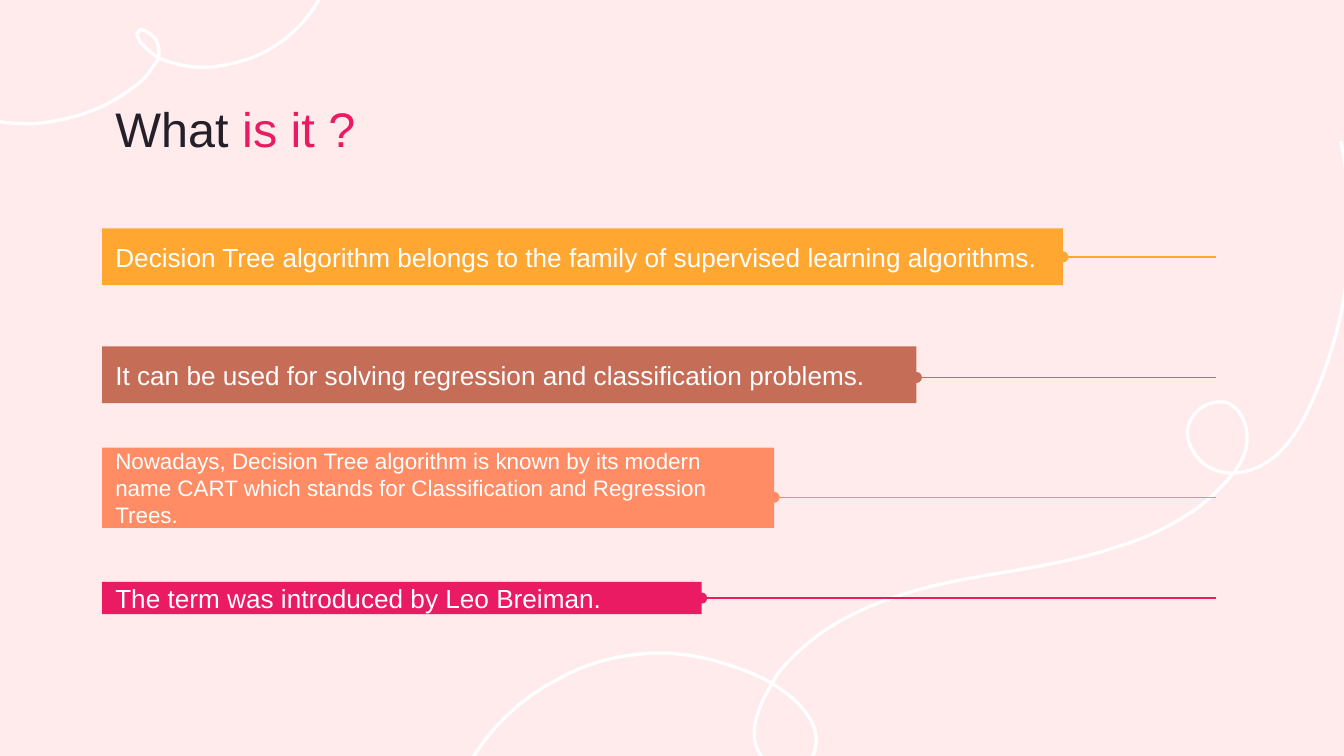
import lxml.etree
import pptx
import pptx.dml.color
import pptx.enum.shapes
import pptx.enum.text
import pptx.oxml.ns
import pptx.util

Cm = pptx.util.Cm
Pt = pptx.util.Pt
GRID = Cm(2.54) / 100
CURVE_STEPS = 10

TOP_LEFT_SWIRL = [
    (307, 0),
    (304, 30), (287, 57), (262, 73),
    (250, 81), (235, 86), (220, 88),
    (216, 89), (212, 89), (207, 89),
    (197, 89), (187, 87), (175, 82),
    (170, 79), (166, 75), (162, 71),
    (161, 70), (161, 69), (160, 67),
    (159, 66), (159, 65), (159, 64),
    (160, 63), (161, 61), (162, 61),
    (167, 62), (170, 65), (173, 68),
    (175, 72), (176, 77), (175, 82),
    (174, 85), (172, 87), (170, 90),
    (166, 96), (161, 101), (155, 105),
    (134, 121), (108, 129), (83, 131),
    (80, 131), (78, 131), (76, 131),
    (52, 131), (29, 125), (8, 112),
    (6, 110), (3, 109), (0, 107),
]
RIGHT_SWIRL = [
    (662, 0),
    (671, 46), (671, 95), (659, 141),
    (653, 163), (645, 186), (634, 207),
    (624, 226), (607, 246), (582, 247),
    (571, 247), (561, 243), (555, 235),
    (548, 227), (545, 215), (551, 206),
    (555, 199), (563, 194), (571, 194),
    (574, 194), (576, 194), (578, 195),
    (587, 199), (592, 210), (592, 219),
    (593, 229), (588, 239), (582, 247),
    (572, 259), (564, 266), (555, 273),
    (538, 285), (518, 295), (498, 301),
    (452, 317), (404, 320), (358, 331),
    (318, 341), (278, 357), (250, 388),
    (246, 392), (242, 397), (239, 403),
    (236, 408), (233, 413), (231, 418),
    (226, 429), (223, 442), (228, 453),
    (232, 462), (241, 470), (251, 470),
    (262, 469), (269, 461), (271, 451),
    (273, 441), (269, 431), (262, 423),
    (256, 415), (247, 409), (238, 403),
    (227, 397), (217, 393), (207, 390),
    (190, 384), (172, 381), (155, 381),
    (129, 381), (103, 387), (80, 400),
    (44, 418), (16, 450), (1, 488),
]


def color(value):
    return pptx.dml.color.RGBColor.from_string(value)


def add_text(para, text, size=14, fill="FFFFFF", font="Arial"):
    span = para.add_run()
    span.text = text
    span.font.name = font
    span.font.size = Pt(size)
    span.font.color.rgb = color(fill)


def set_margins(frame):
    frame.word_wrap = True
    frame.margin_left = frame.margin_right = Cm(0.25)
    frame.margin_top = frame.margin_bottom = Cm(0.25)


def sample_curve(points):
    for first in range(0, len(points) - 1, 3):
        segment = points[first:first + 4]
        for step in range(1, CURVE_STEPS + 1):
            t = step / CURVE_STEPS
            weights = ((1 - t) ** 3, 3 * t * (1 - t) ** 2, 3 * t * t * (1 - t), t ** 3)
            yield tuple(
                GRID * sum(weight * point[axis] for weight, point in zip(weights, segment))
                for axis in (0, 1)
            )


def draw_swirl(page, left, top, points):
    start_x, start_y = points[0]
    builder = page.shapes.build_freeform(GRID * start_x, GRID * start_y)
    builder.add_line_segments(list(sample_curve(points)), close=False)
    swirl = builder.convert_to_shape(left, top)
    swirl.shadow.inherit = False
    swirl.fill.background()
    swirl.line.color.rgb = color("FFFFFF")
    swirl.line.width = Pt(1.75)


def draw_title(page, left, top, width, height):
    box = page.shapes.add_textbox(left, top, width, height)
    set_margins(box.text_frame)
    para = box.text_frame.paragraphs[0]
    add_text(para, "What ", size=26, fill="241F29")
    add_text(para, "is it ?", size=26, fill="EA1A63")


def draw_bar(page, left, top, width, height, line_end, text, fill, size=14, line_drop=0):
    bar = page.shapes.add_shape(
        pptx.enum.shapes.MSO_SHAPE.RECTANGLE, left, top, width, height)
    bar.shadow.inherit = False
    bar.fill.solid()
    bar.fill.fore_color.rgb = color(fill)
    bar.line.fill.background()
    set_margins(bar.text_frame)
    bar.text_frame.vertical_anchor = pptx.enum.text.MSO_ANCHOR.MIDDLE
    para = bar.text_frame.paragraphs[0]
    para.alignment = pptx.enum.text.PP_ALIGN.LEFT
    add_text(para, text, size=size)

    line_y = top + height // 2 + line_drop
    line = page.shapes.add_connector(
        pptx.enum.shapes.MSO_CONNECTOR.STRAIGHT, line_end, line_y, left + width, line_y)
    if not line_drop:
        line.end_connect(bar, 3)
    line.line.color.rgb = color(fill)
    line.line.width = Pt(0.75)
    qn = pptx.oxml.ns.qn
    outline = line.line._get_or_add_ln()
    lxml.etree.SubElement(outline, qn("a:tailEnd"), type="oval")
    lxml.etree.SubElement(line._element.spPr, qn("a:effectLst"))


def main():
    deck = pptx.Presentation()
    deck.slide_width = Cm(25.4)
    deck.slide_height = Cm(14.29)
    page = deck.slides.add_slide(deck.slide_layouts[6])
    page.background.fill.solid()
    page.background.fill.fore_color.rgb = color("FFEBEB")

    draw_swirl(page, Cm(8.53), Cm(2.67), RIGHT_SWIRL)
    draw_swirl(page, Cm(-1.45), Cm(-0.99), TOP_LEFT_SWIRL)

    left = Cm(1.93)
    draw_title(page, left, Cm(1.63), Cm(21.51), Cm(1.52))

    bars = [
        (4.32, 18.16, 1.07, "FFA731", 14, 0,
         "Decision Tree algorithm belongs to the family of supervised learning algorithms."),
        (6.55, 15.39, 1.07, "C66D58", 14, 0.05,
         "It can be used for solving regression and classification problems."),
        (8.46, 12.7, 1.52, "FF8C64", 12, 0.18,
         "Nowadays, Decision Tree algorithm is known by its modern name CART "
         "which stands for Classification and Regression Trees."),
        (11, 11.33, 0.61, "EA1A63", 14, 0,
         "The term was introduced by Leo Breiman."),
    ]
    for top, width, height, fill, size, drop, text in bars:
        draw_bar(page, left, Cm(top), Cm(width), Cm(height), Cm(22.99), text, fill,
                 size=size, line_drop=Cm(drop))

    deck.save("out.pptx")


if __name__ == "__main__":
    main()
